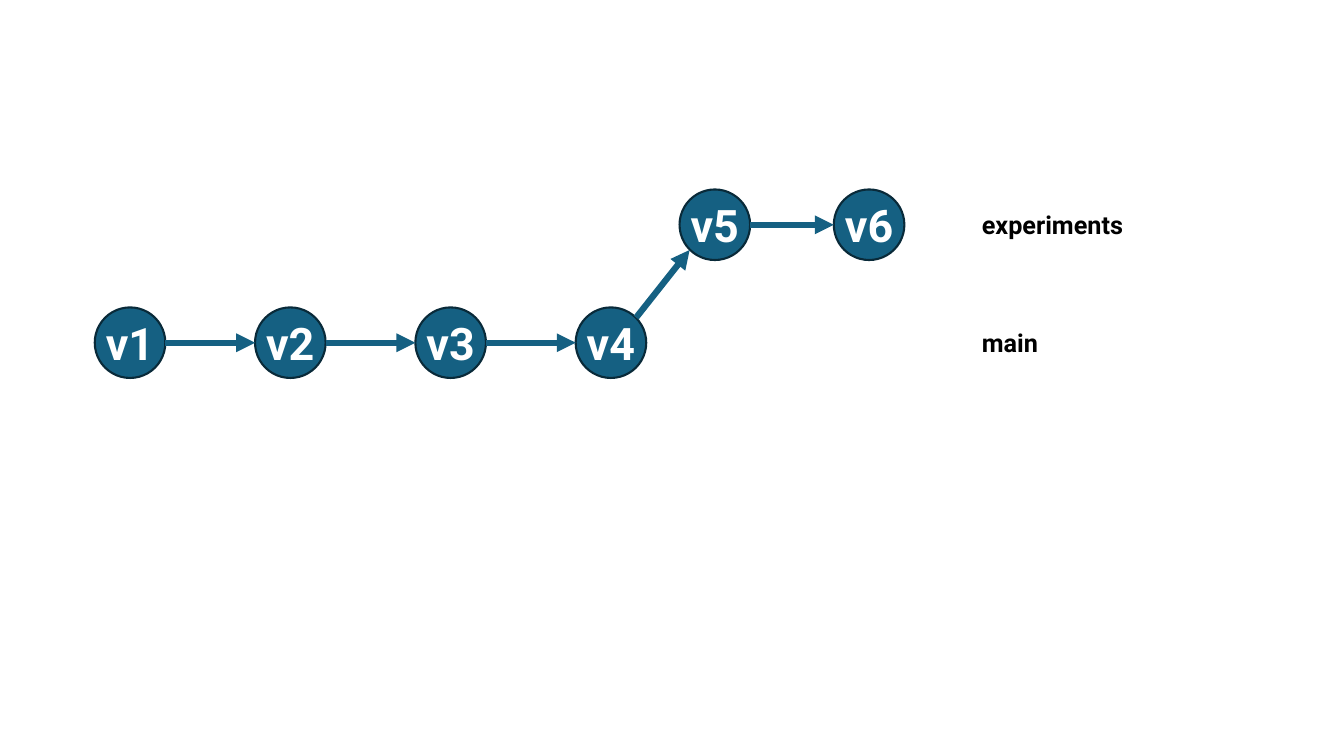
from dataclasses import dataclass
from math import cos, radians, sin

from lxml.etree import SubElement
from pptx import Presentation
from pptx.dml.color import RGBColor
from pptx.enum.shapes import MSO_CONNECTOR, MSO_SHAPE
from pptx.enum.text import MSO_ANCHOR, MSO_AUTO_SIZE, PP_ALIGN
from pptx.oxml.ns import qn
from pptx.shapes.shapetree import SlideShapes
from pptx.text.text import TextFrame
from pptx.util import Emu, Pt

EMU_PER_PX = 9144
DIAMETER = 70
MAIN_Y, EXPERIMENTS_Y = 340, 223
MAIN_X, COMMIT_STEP = 129, 159
BLUE, NAVY, WHITE, BLACK = "156082", "092A39", "FFFFFF", "000000"

COMMIT_FRAME = {
    "margin_left": 0, "margin_right": 0, "margin_top": 0, "margin_bottom": 0,
    "vertical_anchor": MSO_ANCHOR.MIDDLE, "word_wrap": False,
}
BRANCH_FRAME = {"word_wrap": False, "auto_size": MSO_AUTO_SIZE.SHAPE_TO_FIT_TEXT}


@dataclass(frozen=True)
class Commit:
    version: str
    x: int
    y: int

    def rim(self, degrees: float) -> tuple[int, int]:
        """Point on the circle, counted anticlockwise from the right."""
        angle, radius = radians(degrees), DIAMETER / 2
        return round(self.x + radius * cos(angle)), round(self.y - radius * sin(angle))


@dataclass(frozen=True)
class Branch:
    title: str
    y: int
    width: int


COMMITS = [Commit(f"v{i + 1}", MAIN_X + i * COMMIT_STEP, MAIN_Y) for i in range(4)] + [
    Commit("v5", 709, EXPERIMENTS_Y),
    Commit("v6", 862, EXPERIMENTS_Y),
]
BRANCHES = [Branch("experiments", EXPERIMENTS_Y, 164), Branch("main", MAIN_Y, 78)]
BRANCH_X, BRANCH_HEIGHT = 964, 40


def px(length: int) -> Emu:
    return Emu(length * EMU_PER_PX)


def rgb(color: str) -> RGBColor:
    return RGBColor.from_string(color)


def write(frame: TextFrame, text: str, size: int, color: str,
          align: PP_ALIGN, frame_format: dict) -> None:
    for attribute, value in frame_format.items():
        setattr(frame, attribute, value)
    paragraph = frame.paragraphs[0]
    paragraph.alignment = align
    run = paragraph.add_run()
    run.text = text
    for attribute, value in {"name": "Roboto", "size": Pt(size), "bold": True}.items():
        setattr(run.font, attribute, value)
    run.font.color.rgb = rgb(color)


def draw_commit(shapes: SlideShapes, commit: Commit) -> None:
    radius = DIAMETER // 2
    circle = shapes.add_shape(MSO_SHAPE.OVAL, px(commit.x - radius), px(commit.y - radius),
                              px(DIAMETER), px(DIAMETER))
    circle.shadow.inherit = False
    circle.fill.solid()
    circle.fill.fore_color.rgb = rgb(BLUE)
    circle.line.color.rgb = rgb(NAVY)
    circle.line.width = Pt(1.5)
    write(circle.text_frame, commit.version, 32, WHITE, PP_ALIGN.CENTER, COMMIT_FRAME)


def draw_arrow(shapes: SlideShapes, parent: Commit, child: Commit) -> None:
    """Joins facing sides, or facing diagonal points where the branch rises."""
    degrees = 0 if parent.y == child.y else 45
    ends = parent.rim(degrees) + child.rim(degrees + 180)
    arrow = shapes.add_connector(MSO_CONNECTOR.STRAIGHT, *map(px, ends))
    arrow.line.color.rgb = rgb(BLUE)
    arrow.line.width = Pt(4.5)
    properties = arrow.element.spPr
    SubElement(properties.find(qn("a:ln")), qn("a:tailEnd"), type="triangle")
    SubElement(properties, qn("a:effectLst"))


def draw_branch(shapes: SlideShapes, branch: Branch) -> None:
    label = shapes.add_textbox(px(BRANCH_X), px(branch.y - BRANCH_HEIGHT // 2),
                               px(branch.width), px(BRANCH_HEIGHT))
    write(label.text_frame, branch.title, 18, BLACK, PP_ALIGN.LEFT, BRANCH_FRAME)


def main() -> None:
    deck = Presentation()
    deck.slide_width, deck.slide_height = px(1333), px(750)
    shapes = deck.slides.add_slide(deck.slide_layouts[6]).shapes
    for commit in COMMITS:
        draw_commit(shapes, commit)
    for parent, child in zip(COMMITS, COMMITS[1:]):
        draw_arrow(shapes, parent, child)
    for branch in BRANCHES:
        draw_branch(shapes, branch)
    deck.save("out.pptx")


if __name__ == "__main__":
    main()
